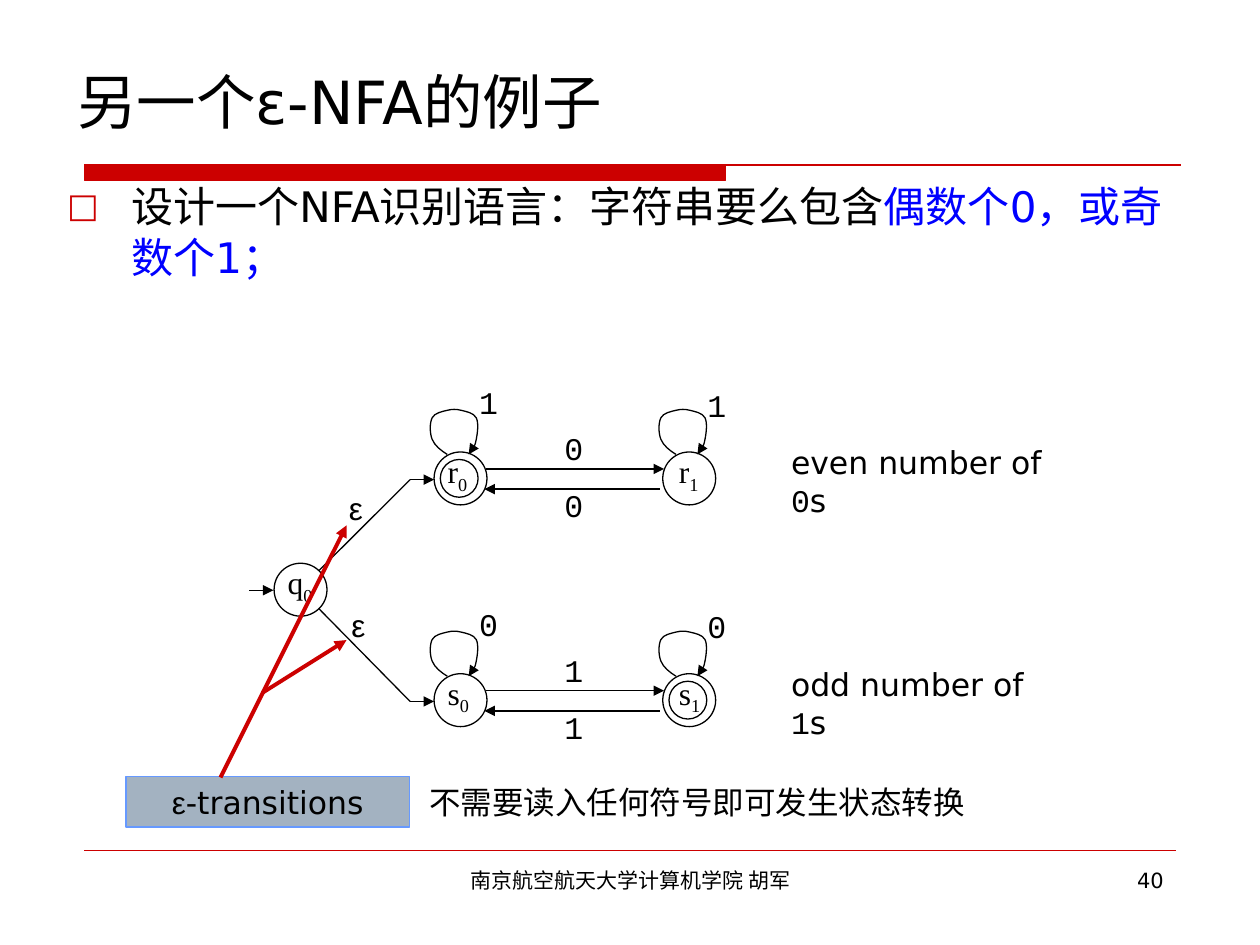
import pptx
import pptx.dml.color
import pptx.enum.shapes
import pptx.enum.text
import pptx.oxml
import pptx.oxml.ns
import pptx.util

RGB = pptx.dml.color.RGBColor
BLACK = RGB(0x00, 0x00, 0x00)
RED = RGB(0xCC, 0x00, 0x00)
BLUE = RGB(0x00, 0x00, 0xFF)
GREY = RGB(0xA3, 0xB2, 0xC1)
SKY = RGB(0x66, 0x99, 0xFF)
SANS, MONO, SERIF, GREEK = "DejaVu Sans", "Courier New", "Times New Roman", "Arial"
LEFT, MID, RIGHT = (pptx.enum.text.PP_ALIGN.LEFT, pptx.enum.text.PP_ALIGN.CENTER,
                    pptx.enum.text.PP_ALIGN.RIGHT)
KIND = pptx.enum.shapes.MSO_SHAPE
FIT = pptx.enum.text.MSO_AUTO_SIZE
COLS, ROWS = 100, 75
LOOP = [(1.4, 3.6),
        (0.9, 3.3), (0.4, 2.9), (0.2, 2.4),
        (0, 1.9), (0, 1.1), (0.2, 0.7),
        (0.4, 0.3), (1, 0.2), (1.4, 0.1),
        (1.8, 0), (2.1, 0), (2.5, 0.1),
        (2.9, 0.2), (3.5, 0.3), (3.7, 0.7),
        (3.9, 1.1), (3.8, 1.9), (3.7, 2.4),
        (3.6, 2.9), (3.4, 3.3), (3.1, 3.6)]


def add_xml(node, tag, **attrs):
    """Append a drawing element with the given attributes and return it."""
    child = pptx.oxml.parse_xml(f"<a:{tag} {pptx.oxml.ns.nsdecls('a')}/>")
    for key, val in attrs.items():
        child.set(key, str(val))
    node.append(child)
    return child


def write(para, text, size=18, font=SANS, color=BLACK, base=0):
    """Add one formatted run to a paragraph."""
    run = para.add_run()
    run.text = text
    run.font.size = pptx.util.Pt(size)
    run.font.name = font
    run.font.color.rgb = color
    if base:
        run.font._element.set("baseline", str(base * 1000))


def bend(item):
    """Turn each three straight segments of a freeform into a cubic curve."""
    segs = item._element.findall(".//" + pptx.oxml.ns.qn("a:lnTo"))
    route = segs[0].getparent()
    for i in range(0, len(segs), 3):
        cubic = add_xml(route, "cubicBezTo")
        for seg in segs[i:i + 3]:
            cubic.append(seg[0])
            route.remove(seg)


class Art:
    """Holds the deck, its grid and the current slide."""

    def __init__(self):
        """Open a deck with one title-only slide."""
        self.deck = pptx.Presentation()
        self.deck.slide_width = pptx.util.Inches(10)
        self.deck.slide_height = pptx.util.Inches(7.5)
        self.slide = self.deck.slides.add_slide(self.deck.slide_layouts[5])
        self.shapes = self.slide.shapes

    def grid(self, *vals):
        """Turn alternating columns and rows into slide lengths."""
        unit = (self.deck.slide_width / COLS, self.deck.slide_height / ROWS)
        return [round(v * unit[i % 2]) for i, v in enumerate(vals)]

    def title(self, text, *at):
        """Place and fill the title."""
        box = self.shapes.title
        box.left, box.top, box.width, box.height = self.grid(*at)
        frame = box.text_frame
        frame.auto_size = FIT.NONE
        frame.vertical_anchor = pptx.enum.text.MSO_ANCHOR.MIDDLE
        frame.paragraphs[0].alignment = LEFT
        write(frame.paragraphs[0], text, size=34)

    def text(self, runs, *at, align=LEFT, wrap=False):
        """Add a text box of (text, format) runs and return its paragraph."""
        frame = self.shapes.add_textbox(*self.grid(*at)).text_frame
        frame.word_wrap = wrap
        frame.auto_size = FIT.NONE if wrap else FIT.SHAPE_TO_FIT_TEXT
        para = frame.paragraphs[0]
        para.alignment = align
        for words, fmt in runs:
            write(para, words, **fmt)
        return para

    def bullet(self, runs, *at):
        """Add a text box whose paragraph has a red square bullet."""
        props = self.text(runs, *at, wrap=True)._p.get_or_add_pPr()
        indent = pptx.util.Inches(0.51)
        props.set("marL", str(indent))
        props.set("indent", str(-indent))
        add_xml(add_xml(props, "buClr"), "srgbClr", val=RED)
        add_xml(props, "buSzPct", val=80000)
        add_xml(props, "buFont", typeface=SANS)
        add_xml(props, "buChar", char="□")

    def shape(self, kind, *at, fill=None, line=BLACK):
        """Add a preset shape."""
        item = self.shapes.add_shape(kind, *self.grid(*at))
        return self.paint(item, fill, line)

    def paint(self, item, fill, line):
        """Give a shape its fill and outline."""
        item.shadow.inherit = False
        if fill is None:
            item.fill.background()
        else:
            item.fill.solid()
            item.fill.fore_color.rgb = fill
        item.line.color.rgb = line
        item.line.width = pptx.util.Pt(0.75)
        return item

    def line(self, *ends, color=BLACK, width=0.75, head=True):
        """Add a straight line, with an arrowhead at its end by default."""
        item = self.shapes.add_connector(
            pptx.enum.shapes.MSO_CONNECTOR.STRAIGHT, *self.grid(*ends))
        item.line.color.rgb = color
        item.line.width = pptx.util.Pt(width)
        if head:
            add_xml(item.line._get_or_add_ln(), "tailEnd", type="triangle")
        add_xml(item._element.spPr, "effectLst")

    def banner(self, x, y, wide, high, end):
        """Add a bar whose top edge runs on as a thin rule."""
        pen = self.shapes.build_freeform(*self.grid(x, y))
        pen.add_line_segments([self.grid(x + wide, y),
                               self.grid(x + wide, y + high),
                               self.grid(x, y + high)])
        pen.move_to(*self.grid(x, y))
        pen.add_line_segments([self.grid(end, y)], close=False)
        self.paint(pen.convert_to_shape(), RED, RED)

    def loop(self, x, y):
        """Add a curved arrow from a state back to itself."""
        pts = [self.grid(x + dx, y + dy) for dx, dy in LOOP]
        pen = self.shapes.build_freeform(*pts[0])
        pen.add_line_segments(pts[1:], close=False)
        item = self.paint(pen.convert_to_shape(), None, BLACK)
        bend(item)
        add_xml(item.line._get_or_add_ln(), "tailEnd", type="triangle")

    def state(self, name, num, x, y, shift=0.1, final=False):
        """Add a state circle with its name, doubled if it accepts."""
        self.shape(KIND.OVAL, x, y, 4.2, 4.2)
        if final:
            self.shape(KIND.OVAL, x + 0.5, y + 0.6, 3, 3)
        self.text([(name, {"font": SERIF}), (num, {"font": SERIF, "base": -25})],
                  x + shift, y - 0.5, 4, 4.4)

    def branch(self, name, y, loop, step, final, note, wide):
        """Add a two-state branch with its arrows, digits and note."""
        for num, x, shift in (("0", 34.45, 0.1), ("1", 52.6, 0.3)):
            self.state(name, num, x, y, shift, num == final)
            self.loop(x - 0.35, y - 3.4)
        self.line(32.55, y + 2.2, 34.45, y + 2.2)
        self.line(38.55, y + 1.35, 52.7, y + 1.35)
        self.line(52.35, y + 2.95, 38.45, y + 2.95)
        for digit, x, dy in ((loop, 37.05, -5.95), (loop, 55.15, -5.75),
                             (step, 43.8, -2.3), (step, 43.8, 2.2)):
            self.text([(digit, {"font": MONO})], x, y + dy, 3.5, 4)
        self.text([(note, {}), (step, {"font": MONO}), ("s", {})],
                  61.8, y - 1.2, wide, 4, wrap=True)


def main():
    """Build the slide and save it."""
    art = Art()
    art.banner(6.7, 13.1, 50.9, 1.2, 93.7)
    art.line(6.7, 67.5, 93.3, 67.5, color=RED, width=0.25, head=False)
    art.title("另一个ε-NFA的例子", 5.15, 4.4, 91.4, 7.2)
    art.bullet([("设计一个NFA识别语言：字符串要么包含", {"size": 24}),
                ("偶数个0，或奇数个1；", {"size": 24, "color": BLUE})],
               4.35, 13.85, 91.4, 12)

    art.branch("r", 35.87, "1", "0", "0", "even number of ", 24)
    art.branch("s", 53.47, "0", "1", "1", "odd number of ", 23)
    art.state("q", "0", 21.75, 44.7)
    art.line(19.8, 46.85, 21.7, 46.85)
    art.line(25.3, 45.3, 32.55, 38.07, head=False)
    art.line(25.3, 48.3, 32.55, 55.67, head=False)
    for x, y in ((26.7, 38.3), (26.9, 47.6)):
        art.text([("ε", {"font": GREEK})], x, y, 3.1, 4)

    label = art.shape(KIND.RECTANGLE, 10, 61.65, 22.5, 4, fill=GREY, line=SKY)
    para = label.text_frame.paragraphs[0]
    para.alignment = MID
    write(para, "ε", font=GREEK)
    write(para, "-transitions")
    art.line(17.5, 61.7, 27.5, 41.7, color=RED, width=2.25)
    art.line(20.8, 55, 27.5, 50.8, color=RED, width=2.25)
    art.text([("不需要读入任何符号即可发生状态转换", {})], 33.1, 61.65, 44.5, 4)

    art.text([("南京航空航天大学计算机学院 胡军", {"size": 12})],
             34.2, 68.35, 31.7, 5.2, align=MID, wrap=True)
    art.text([("40", {"size": 12})], 71.65, 68.35, 21.7, 5.2, align=RIGHT, wrap=True)
    art.deck.save("out.pptx")


if __name__ == "__main__":
    main()
